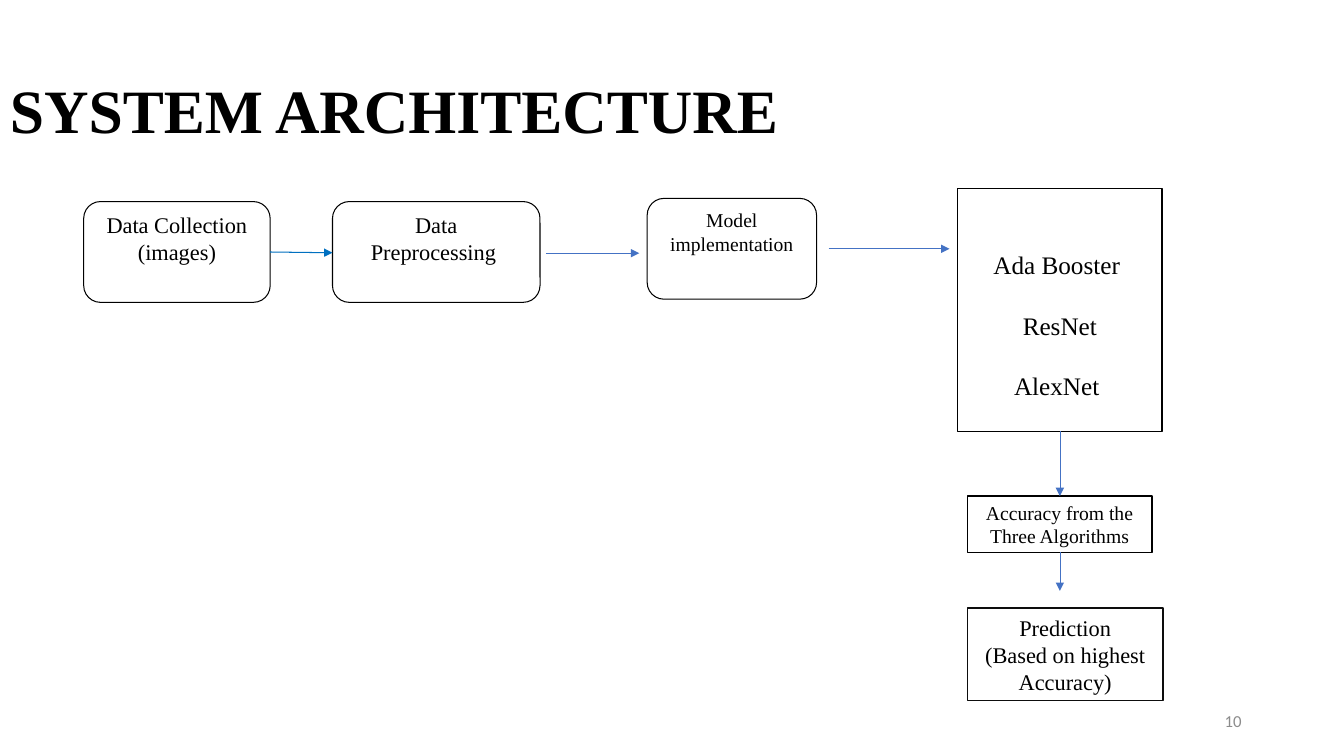
from lxml import etree
from pptx import Presentation
from pptx.dml.color import RGBColor
from pptx.enum.shapes import MSO_CONNECTOR, MSO_SHAPE
from pptx.enum.text import MSO_ANCHOR, PP_ALIGN
from pptx.oxml.ns import qn
from pptx.util import Cm, Pt

BLACK = RGBColor(0x00, 0x00, 0x00)
NEAR_BLACK = RGBColor(0x0D, 0x0D, 0x0D)
GRAY = RGBColor(0x8C, 0x8C, 0x8C)
BLUE = RGBColor(0x44, 0x72, 0xC4)
BRIGHT_BLUE = RGBColor(0x00, 0x70, 0xC0)
SERIF = "Times New Roman"


def write_text(shape, text, size, align=PP_ALIGN.CENTER, anchor=MSO_ANCHOR.MIDDLE,
               font=SERIF, color=BLACK, bold=False, spacing=None):
    frame = shape.text_frame
    frame.text = text
    frame.word_wrap = True
    frame.vertical_anchor = anchor
    for paragraph in frame.paragraphs:
        paragraph.alignment = align
        paragraph.line_spacing = spacing
        for run in paragraph.runs:
            run.font.name = font
            run.font.size = Pt(size)
            run.font.bold = bold
            run.font.color.rgb = color


def add_label(slide, box, text, size, **style):
    label = slide.shapes.add_textbox(*(Cm(length) for length in box))
    write_text(label, text, size, **style)


def add_box(slide, box, text, size, kind=MSO_SHAPE.RECTANGLE, line=BLACK, width=1, **style):
    shape = slide.shapes.add_shape(kind, *(Cm(length) for length in box))
    shape.shadow.inherit = False
    shape.fill.background()
    shape.line.color.rgb = line
    shape.line.width = Pt(width)
    write_text(shape, text, size, **style)


def add_arrow(slide, start, end, color=BLUE, width=0.5):
    arrow = slide.shapes.add_connector(
        MSO_CONNECTOR.STRAIGHT, *(Cm(length) for length in (*start, *end)))
    arrow.line.color.rgb = color
    arrow.line.width = Pt(width)
    etree.SubElement(arrow.line._get_or_add_ln(), qn("a:tailEnd"), type="triangle")
    etree.SubElement(arrow.element.spPr, qn("a:effectLst"))


def add_pipeline(slide, left, top, height):
    """Draw the row of rounded steps and the arrows that lead to the models."""
    steps = [
        (0, 0, 4.7, "Data Collection (images)", 16),
        (6.27, 0, 5.23, "Data\nPreprocessing ", 16),
        (14.2, -0.08, 4.27, "Model implementation", 14),
    ]
    for x, y, width, text, size in steps:
        add_box(slide, (left + x, top + y, width, height), text, size,
                kind=MSO_SHAPE.ROUNDED_RECTANGLE, width=0.75, anchor=MSO_ANCHOR.TOP)

    middle = top + height / 2
    add_arrow(slide, (left + 4.7, middle), (left + 6.27, middle + 0.02), BRIGHT_BLUE, 0.75)
    add_arrow(slide, (left + 11.65, middle + 0.03), (left + 14, middle + 0.03))
    add_arrow(slide, (left + 18.77, middle - 0.08), (left + 21.82, middle - 0.08))


def add_model_column(slide, left, top):
    """Draw the models and, below them, the accuracy and prediction boxes."""
    models_height, accuracy_top, accuracy_height = 6.12, 7.75, 1.42
    add_box(slide, (left, top, 5.16, models_height),
            "Ada Booster \nResNet\nAlexNet ", 18, spacing=2.0)
    add_box(slide, (left + 0.25, top + accuracy_top, 4.65, accuracy_height),
            "Accuracy from the Three Algorithms", 14)
    add_box(slide, (left + 0.25, top + 10.57, 4.93, 2.34),
            "Prediction\n(Based on highest Accuracy)", 16, line=NEAR_BLACK)

    center = left + 2.58
    accuracy_bottom = accuracy_top + accuracy_height
    for start, end in [(models_height, accuracy_top), (accuracy_bottom, 10.14)]:
        add_arrow(slide, (center, top + start), (center, top + end))


def main():
    presentation = Presentation()
    presentation.slide_width = Cm(33.87)
    presentation.slide_height = Cm(19.05)
    slide = presentation.slides.add_slide(presentation.slide_layouts[6])
    add_label(slide, (0, 1.45, 22.4, 2.84), "SYSTEM ARCHITECTURE", 44,
              align=PP_ALIGN.LEFT, bold=True, spacing=0.9)
    add_pipeline(slide, 2.11, 5.08, 2.54)
    add_model_column(slide, 24.13, 4.75)
    add_label(slide, (23.92, 17.66, 7.62, 1.01), "10", 12,
              align=PP_ALIGN.RIGHT, font="Calibri", color=GRAY)
    presentation.save("out.pptx")


if __name__ == "__main__":
    main()
